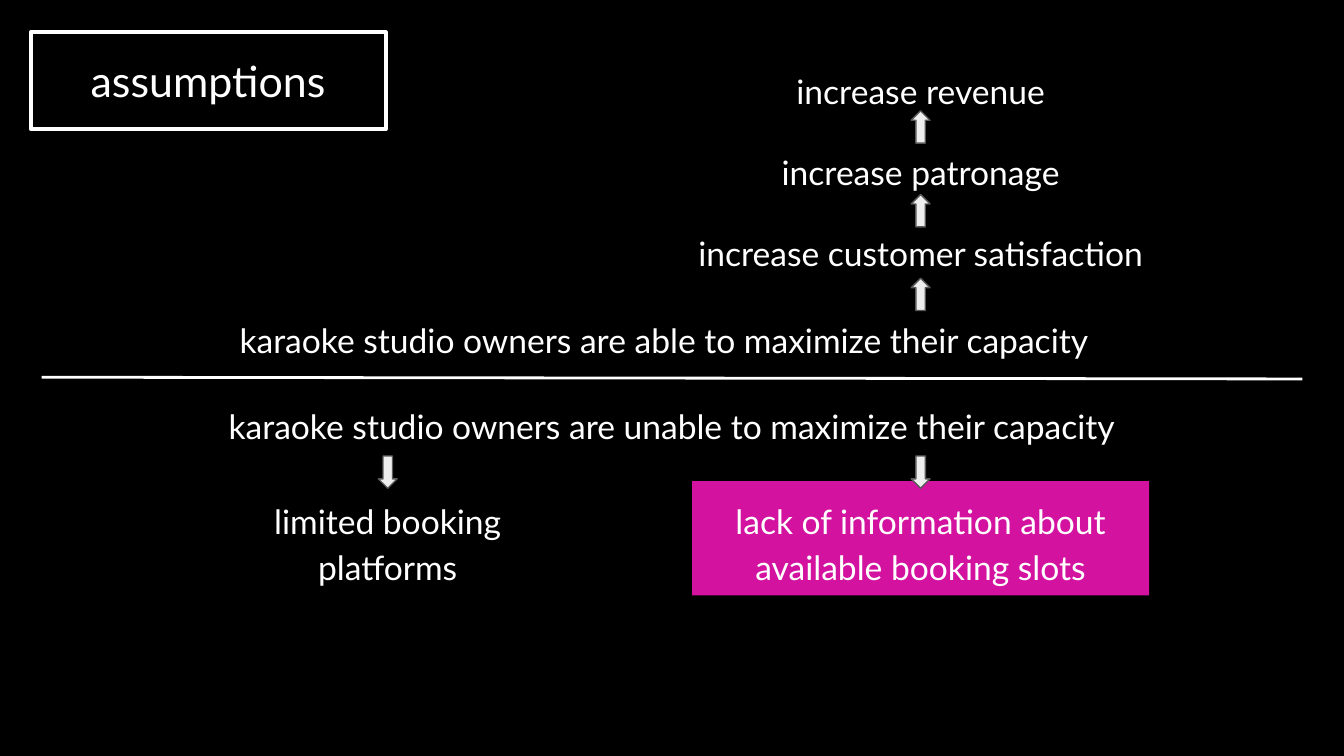
import pptx
import pptx.util
import pptx.dml.color
import pptx.enum.shapes
import pptx.enum.text
import pptx.oxml.ns
import lxml.etree

RGB = pptx.dml.color.RGBColor
KIND = pptx.enum.shapes.MSO_SHAPE
ALIGN = pptx.enum.text.PP_ALIGN
ANCHOR = pptx.enum.text.MSO_ANCHOR
BLACK = RGB(0x00, 0x00, 0x00)
WHITE = RGB(0xFF, 0xFF, 0xFF)
PINK = RGB(0xD3, 0x12, 0xA0)
PALE = RGB(0xEE, 0xEE, 0xEE)
GREY = RGB(0x59, 0x59, 0x59)
FONT = "Lato"

# Grid: 100 columns by 56.25 rows of one tenth of an inch
UNIT = pptx.util.Inches(0.1)
COLS, ROWS = 100, 56.25
ARROW_W, ARROW_H = 1.4, 2.4
LINE_H = 5.2


def grid(*vals):
    return [round(v * UNIT) for v in vals]


def write(shape, text, size=18, space=1.15, anchor=ANCHOR.TOP):
    """Put one centred white paragraph in a shape."""
    frame = shape.text_frame
    frame.word_wrap = True
    frame.auto_size = pptx.enum.text.MSO_AUTO_SIZE.NONE
    frame.vertical_anchor = anchor
    frame.margin_left = frame.margin_right = UNIT
    frame.margin_top = frame.margin_bottom = UNIT
    para = frame.paragraphs[0]
    para.alignment = ALIGN.CENTER
    para.line_spacing = space
    run = para.add_run()
    run.text = text
    run.font.name = FONT
    run.font.size = pptx.util.Pt(size)
    run.font.color.rgb = WHITE


def label(slide, text, box, fill=None):
    """A line of text, on a filled panel if a fill is given."""
    if fill is None:
        shape = slide.shapes.add_textbox(*grid(*box))
    else:
        shape = slide.shapes.add_shape(KIND.RECTANGLE, *grid(*box))
        shape.shadow.inherit = False
        shape.fill.solid()
        shape.fill.fore_color.rgb = fill
        shape.line.fill.background()
    write(shape, text)


def arrow(slide, mid, top, turn=0):
    """A small block arrow centred on a column."""
    shape = slide.shapes.add_shape(
        KIND.UP_ARROW, *grid(mid - ARROW_W / 2, top, ARROW_W, ARROW_H))
    shape.shadow.inherit = False
    shape.rotation = turn
    shape.fill.solid()
    shape.fill.fore_color.rgb = PALE
    shape.line.color.rgb = GREY
    shape.line.width = pptx.util.Pt(0.75)


def title(slide, box):
    """The framed heading."""
    shape = slide.shapes.title
    shape.left, shape.top, shape.width, shape.height = grid(*box)
    shape.line.color.rgb = WHITE
    shape.line.width = pptx.util.Pt(2.25)
    write(shape, "assumptions", 23, 1.0, ANCHOR.MIDDLE)


def rule(slide, left, top, right, end):
    """The line between the two halves."""
    line = slide.shapes.add_connector(
        pptx.enum.shapes.MSO_CONNECTOR.STRAIGHT, *grid(left, top, right, end))
    line.line.color.rgb = WHITE
    line.line.width = pptx.util.Pt(1.5)
    props = line._element.spPr
    lxml.etree.SubElement(props, pptx.oxml.ns.qn("a:effectLst"))


def gains(slide, box):
    """The upward chain of results, top to bottom."""
    left, top, wide, high = box
    texts = ["increase revenue", "increase patronage",
             "increase customer satisfaction"]
    step = (high - LINE_H) / (len(texts) - 1)
    for i, text in enumerate(texts):
        label(slide, text, (left, top + i * step, wide, LINE_H))
        arrow(slide, left + wide / 2, top + 4.45 + i * 6.23)


def causes(slide, box):
    """The two reasons, each below a downward arrow."""
    left, top, wide, high = box
    parts = [("limited booking platforms", 0, 25.6, None),
             ("lack of information about available booking slots",
              wide - 34, 34, PINK)]
    for text, shift, span, fill in parts:
        label(slide, text, (left + shift, top, span, high), fill)
        arrow(slide, left + shift + span / 2, top - 1.87, 180)


def main():
    deck = pptx.Presentation()
    deck.slide_width, deck.slide_height = grid(COLS, ROWS)
    slide = deck.slides.add_slide(deck.slide_layouts[5])
    slide.background.fill.solid()
    slide.background.fill.fore_color.rgb = BLACK

    title(slide, (2.3, 2.4, 26.4, 7.2))
    # Upper half: the wished state
    gains(slide, (49.55, 3.8, 37.9, 17.3))
    label(slide, "karaoke studio owners are able to maximize their capacity",
          (8.07, 22.35, 82.7, LINE_H))
    rule(slide, 3.1, 28.07, 96.9, 28.2)
    # Lower half: the present state
    label(slide, "karaoke studio owners are unable to maximize their capacity",
          (8.65, 28.74, 82.7, LINE_H))
    causes(slide, (16.05, 35.8, 69.45, 8.5))
    deck.save("out.pptx")


if __name__ == "__main__":
    main()
